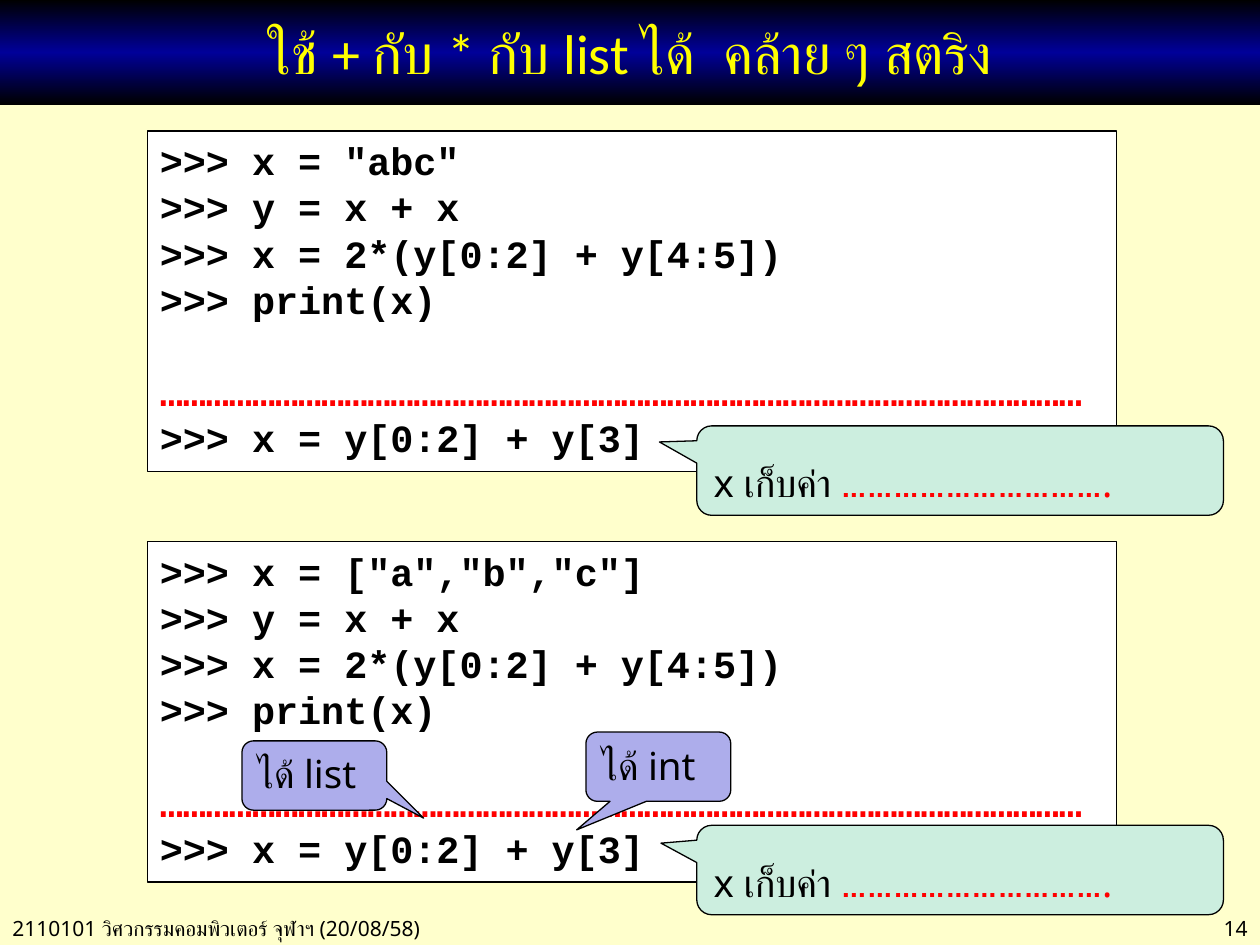
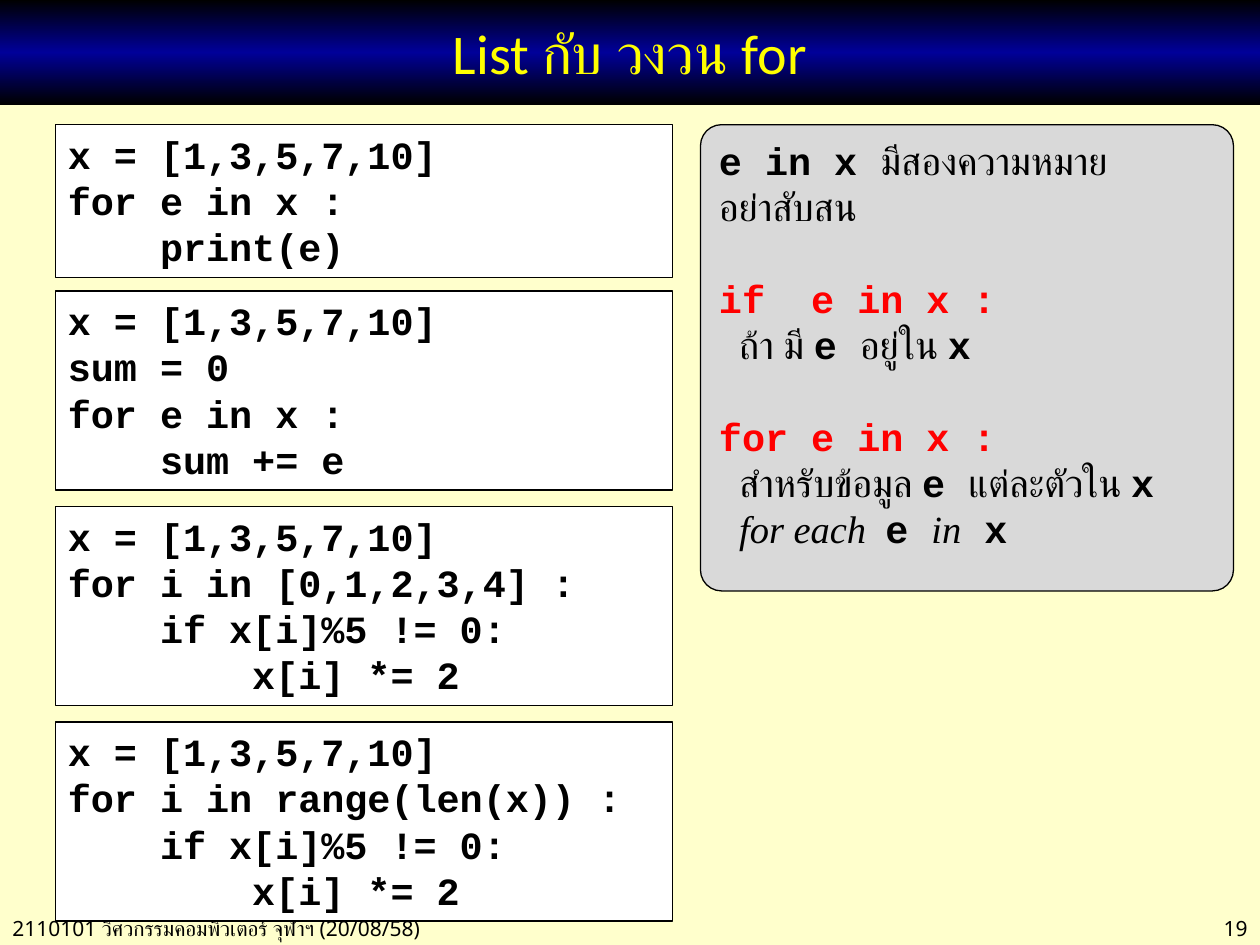
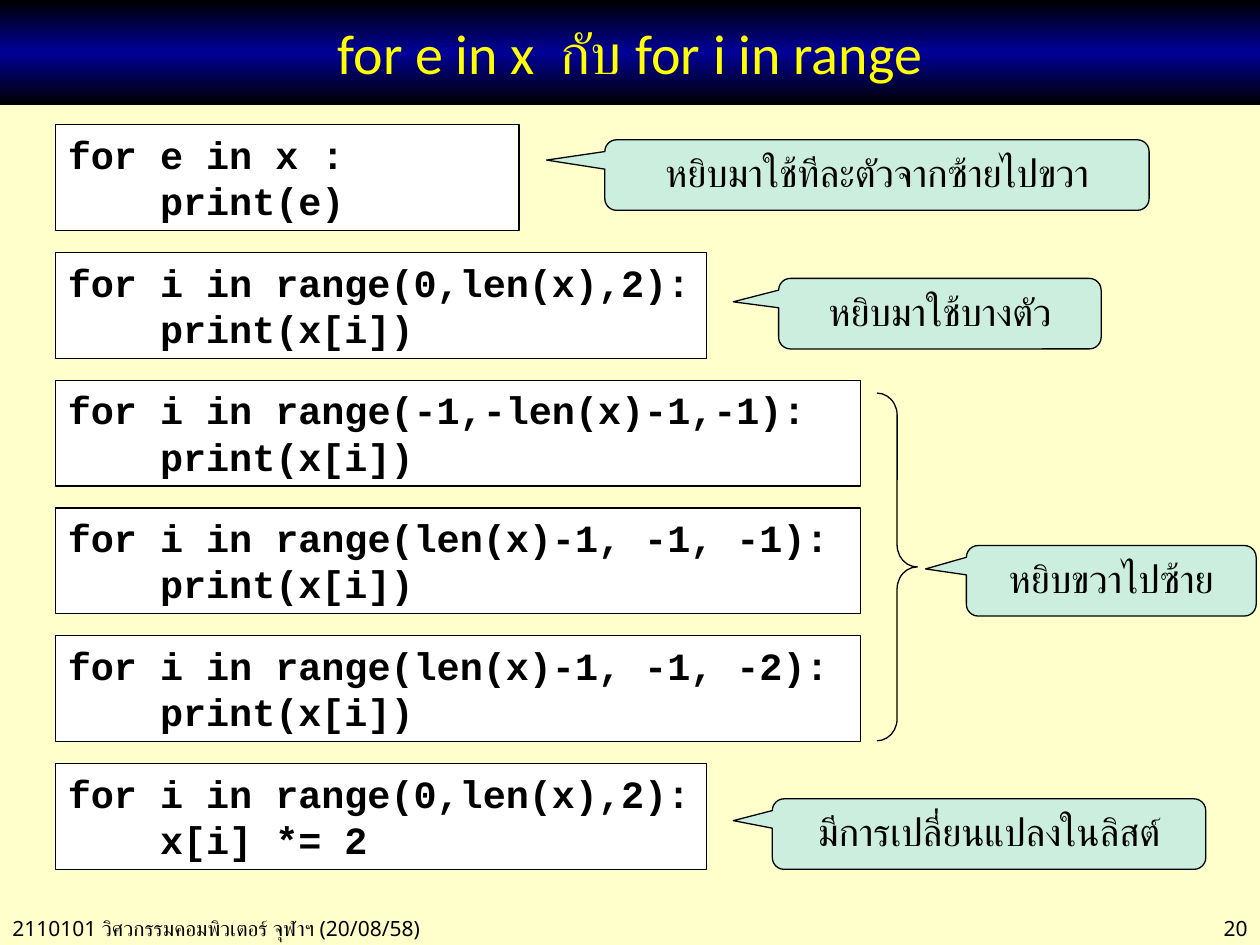
from copy import deepcopy

from pptx import Presentation
from pptx.dml.color import RGBColor
from pptx.enum.shapes import MSO_SHAPE
from pptx.enum.text import MSO_ANCHOR, MSO_AUTO_SIZE, PP_ALIGN
from pptx.oxml.ns import qn
from pptx.util import Inches, Pt

BLACK = RGBColor(0x00, 0x00, 0x00)
WHITE = RGBColor(0xFF, 0xFF, 0xFF)
CREAM = RGBColor(0xFF, 0xFF, 0xCC)
NAVY = RGBColor(0x00, 0x00, 0x99)
YELLOW = RGBColor(0xFF, 0xFF, 0x00)
RED = RGBColor(0xFF, 0x00, 0x00)
MINT = RGBColor(0xCC, 0xEE, 0xDF)
LILAC = RGBColor(0xAD, 0xAD, 0xEB)
GREY = RGBColor(0xD9, 0xD9, 0xD9)

CODE_FONT, BODY_FONT = "Courier New", "Noto Sans"
STYLES = {
    "title": {"name": "Calibri", "size": Pt(32), "color": YELLOW},
    "footer": {"name": BODY_FONT, "size": Pt(12), "color": BLACK},
    "code": {"name": CODE_FONT, "size": Pt(22), "color": BLACK, "bold": True},
    "red code": {"name": CODE_FONT, "size": Pt(22), "color": RED, "bold": True},
    "plain code": {"name": CODE_FONT, "size": Pt(22), "color": BLACK},
    "body": {"name": BODY_FONT, "size": Pt(22), "color": BLACK},
    "red body": {"name": BODY_FONT, "size": Pt(22), "color": RED},
    "english": {"name": "Times New Roman", "size": Pt(22), "color": BLACK,
                "italic": True},
}
FOOTER = "2110101 วิศวกรรมคอมพิวเตอร์ จุฬาฯ (20/08/58)"
CODE_LEFT = 0.44
BLANK_LINE = Pt(26)
CORNER = 0.167


def add_runs(paragraph, runs, **layout):
    """Add (text, style) runs to a paragraph and set its layout values."""
    for text, style in runs:
        run = paragraph.add_run()
        run.text = text
        for name, value in STYLES[style].items():
            if name == "color":
                run.font.color.rgb = value
            else:
                setattr(run.font, name, value)
    for name, value in layout.items():
        setattr(paragraph, name, value)


def next_paragraph(frame):
    """Return the empty first paragraph, or a new one after the filled ones."""
    first = frame.paragraphs[0]
    return frame.add_paragraph() if first.runs else first


def add_box(slide, box, preset, fill, adjustments=()):
    """Draw a thinly outlined shape whose text starts at the top left."""
    shape = slide.shapes.add_shape(preset, *map(Inches, box))
    shape.shadow.inherit = False
    if fill is None:
        shape.fill.background()
    else:
        shape.fill.solid()
        shape.fill.fore_color.rgb = fill
    shape.line.color.rgb = BLACK
    shape.line.width = Pt(0.75)
    for index, value in enumerate(adjustments):
        shape.adjustments[index] = value
    frame = shape.text_frame
    frame.word_wrap = True
    frame.vertical_anchor = MSO_ANCHOR.TOP
    frame.paragraphs[0].alignment = PP_ALIGN.LEFT
    return shape


def add_code(slide, box, source):
    """Draw a white box of code; a line of dots is a blank to fill in."""
    frame = add_box(slide, box, MSO_SHAPE.RECTANGLE, WHITE).text_frame
    for line in source.split("\n"):
        blank = line.startswith("…")
        add_runs(next_paragraph(frame),
                 [(line, "red code" if blank else "code")],
                 alignment=PP_ALIGN.LEFT, line_spacing=2.0 if blank else 1.0)


def add_callout(slide, box, tip, fill, runs, **layout):
    """Draw a rounded callout whose tail ends at tip, relative to its size."""
    shape = add_box(slide, box, MSO_SHAPE.ROUNDED_RECTANGULAR_CALLOUT, fill,
                    (*tip, CORNER))
    add_runs(shape.text_frame.paragraphs[0], runs, **layout)


def add_label(slide, box, text, style, alignment):
    """Place one line of text without outline."""
    frame = slide.shapes.add_textbox(*map(Inches, box)).text_frame
    frame.word_wrap = True
    add_runs(frame.paragraphs[0], [(text, style)], alignment=alignment)


def format_title(title, text):
    """Turn the title placeholder into the gradient band at the top."""
    title.left, title.top, title.width, title.height = map(
        Inches, (0, 0, 10, 0.83))
    title.fill.gradient()
    title.fill.gradient_angle = 270
    stops = title._element.spPr.find(".//" + qn("a:gsLst"))
    stops.insert(1, deepcopy(stops[0]))
    for stop, position, color in zip(title.fill.gradient_stops, (0, 0.5, 1),
                                     (BLACK, NAVY, BLACK)):
        stop.position = position
        stop.color.rgb = color
    frame = title.text_frame
    frame.auto_size = MSO_AUTO_SIZE.NONE
    frame.vertical_anchor = MSO_ANCHOR.MIDDLE
    add_runs(frame.paragraphs[0], [(text, "title")], alignment=PP_ALIGN.CENTER)


def new_slide(presentation, title, number):
    """Add a slide with its title band, footer and page number."""
    slide = presentation.slides.add_slide(presentation.slide_layouts[5])
    format_title(slide.shapes.title, title)
    add_label(slide, (0, 7.22, 3.9, 0.3), FOOTER, "footer", PP_ALIGN.LEFT)
    add_label(slide, (8.62, 7.22, 1.38, 0.3), str(number), "footer",
              PP_ALIGN.RIGHT)
    return slide


def add_operators_slide(presentation):
    """Compare + and * on strings and on lists."""
    slide = new_slide(presentation, "ใช้ + กับ * กับ list ได้  คล้าย ๆ สตริง", 14)
    examples = (
        (4.3, '["a","b","c"]', 6.55, (-0.568, -0.3)),
        (1.04, '"abc"', 3.38, (-0.571, -0.32)),
    )
    for top, value, _, _ in examples:
        add_code(slide, (1.17, top, 7.69, 2.7), "\n".join((
            f">>> x = {value}", ">>> y = x + x",
            ">>> x = 2*(y[0:2] + y[4:5])", ">>> print(x)",
            "…" * 40, ">>> x = y[0:2] + y[3]")))
    for _, _, top, tip in examples:
        add_callout(slide, (5.53, top, 4.18, 0.71), tip, MINT,
                    [("x เก็บค่า ", "body"), ("…" * 10 + ".", "red body")],
                    line_spacing=1.5)
    for left, top, tip, text in (
        (1.92, 5.88, (0.754, 0.615), "ได้ list"),
        (4.65, 5.81, (-0.564, 0.912), "ได้ int"),
    ):
        add_callout(slide, (left, top, 1.15, 0.55), tip, LILAC,
                    [(text, "body")])


def add_meanings(slide, box):
    """Explain the two meanings of 'e in x' in a grey panel."""
    frame = add_box(slide, box, MSO_SHAPE.ROUNDED_RECTANGLE, GREY,
                    (0.045,)).text_frame
    heading, indented = {"space_before": BLANK_LINE}, Inches(0.16)
    for runs, layout in (
        ([("e in x ", "code"), ("มีสองความหมาย", "body")], {}),
        ([("อย่าสับสน", "body")], {}),
        ([("if  e in x :", "red code")], heading),
        ([("ถ้า มี ", "body"), ("e ", "code"), ("อยู่ใน ", "body"),
          ("x", "code")], {"indent": indented}),
        ([("for e in x :", "red code")], heading),
        ([("สำหรับข้อมูล ", "body"), ("e ", "code"), ("แต่ละตัวใน ", "body"),
          ("x", "code")], {"indent": indented}),
        ([("for each  ", "english"), ("e ", "code"), ("in", "english"),
          (" x", "code")], {"indent": indented}),
    ):
        paragraph = next_paragraph(frame)
        layout = dict(layout)
        indent = layout.pop("indent", 0)
        add_runs(paragraph, runs, alignment=PP_ALIGN.LEFT, **layout)
        if indent:
            paragraph._p.get_or_add_pPr().set("marL", str(indent))


def add_loops_slide(presentation):
    """Show four loops over a list beside the meanings of 'in'."""
    slide = new_slide(presentation, "List กับ วงวน for", 19)
    doubling = "\n    if x[i]%5 != 0:\n        x[i] *= 2"
    for top, height, body in (
        (0.99, 1.21, "for e in x :\n    print(e)"),
        (2.31, 1.58, "sum = 0\nfor e in x :\n    sum += e"),
        (4.02, 1.58, "for i in [0,1,2,3,4] :" + doubling),
        (5.73, 1.58, "for i in range(len(x)) :" + doubling),
    ):
        add_code(slide, (CODE_LEFT, top, 4.9, height),
                 "x = [1,3,5,7,10]\n" + body)
    add_meanings(slide, (5.56, 0.99, 4.23, 3.7))


def add_ranges_slide(presentation):
    """List the ways to walk a list, with a remark on each."""
    slide = new_slide(presentation, "for e in x  กับ for i in range", 20)
    first_top, pitch = 0.99, 1.014
    for row, (width, loop, action) in enumerate((
        (3.68, "e in x ", "print(e)"),
        (5.17, "i in range(0,len(x),2)", "print(x[i])"),
        (6.39, "i in range(-1,-len(x)-1,-1)", "print(x[i])"),
        (6.39, "i in range(len(x)-1, -1, -1)", "print(x[i])"),
        (6.39, "i in range(len(x)-1, -1, -2)", "print(x[i])"),
        (5.17, "i in range(0,len(x),2)", "x[i] *= 2"),
    )):
        add_code(slide, (CODE_LEFT, first_top + row * pitch, width, 0.84),
                 f"for {loop}:\n    {action}")
    add_box(slide, (6.96, 3.12, 0.32, 2.76), MSO_SHAPE.RIGHT_BRACE, None,
            (0.545, 0.5))
    for left, top, width, tip, text in (
        (4.8, 1.11, 4.32, (-0.607, -0.212), "หยิบมาใช้ทีละตัวจากซ้ายไปขวา"),
        (6.18, 2.21, 2.56, (-0.641, -0.168), "หยิบมาใช้บางตัว"),
        (7.67, 4.33, 2.3, (-0.641, -0.168), "หยิบขวาไปซ้าย"),
        (6.13, 6.34, 3.44, (-0.59, -0.19), "มีการเปลี่ยนแปลงในลิสต์"),
    ):
        add_callout(slide, (left, top, width, 0.56), tip, MINT,
                    [(text, "plain code")], alignment=PP_ALIGN.CENTER)


def main():
    """Build the three slides and save them."""
    presentation = Presentation()
    presentation.slide_width = Inches(10)
    presentation.slide_height = Inches(7.5)
    background = presentation.slide_master.background.fill
    background.solid()
    background.fore_color.rgb = CREAM
    add_operators_slide(presentation)
    add_loops_slide(presentation)
    add_ranges_slide(presentation)
    presentation.save("out.pptx")


main()
